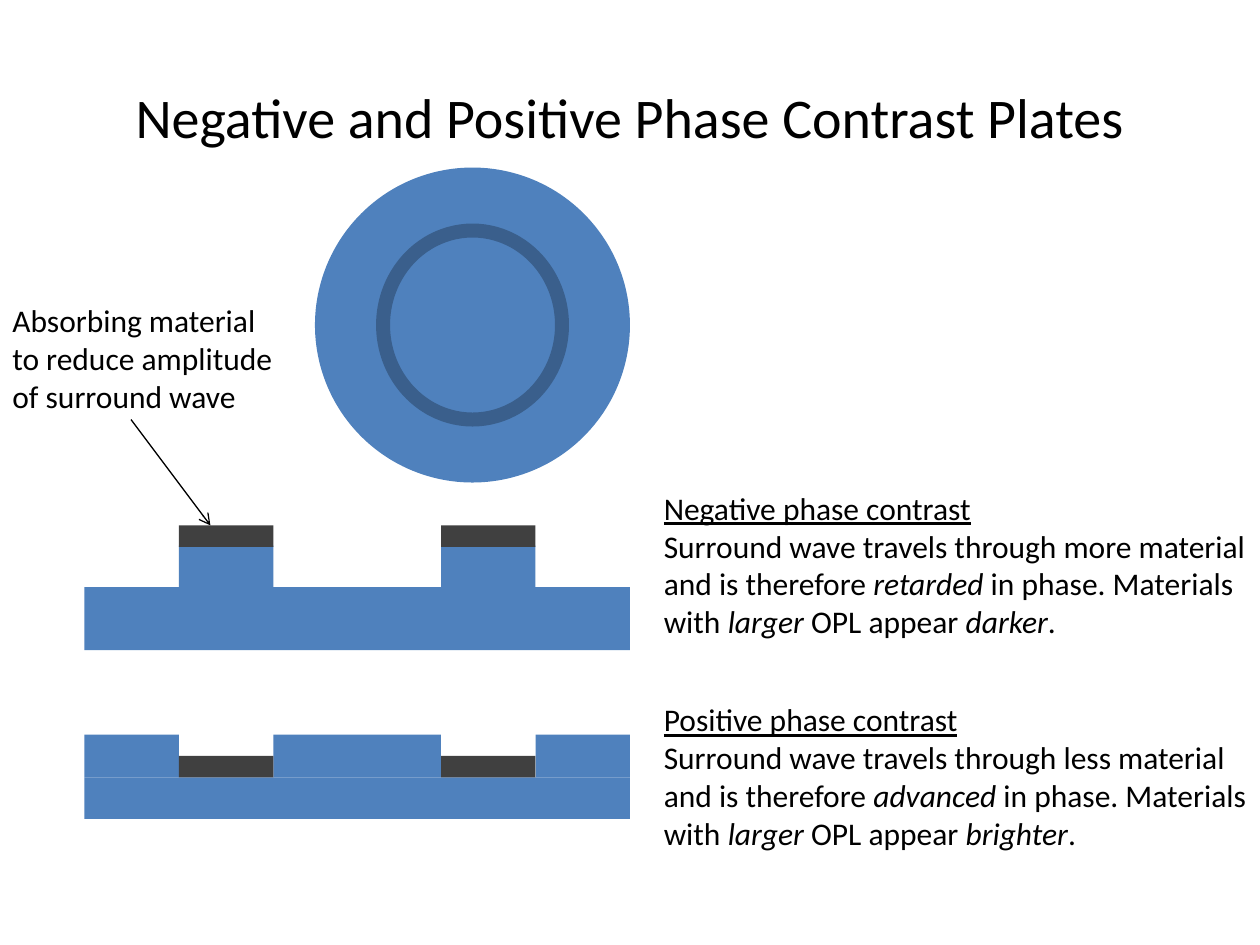
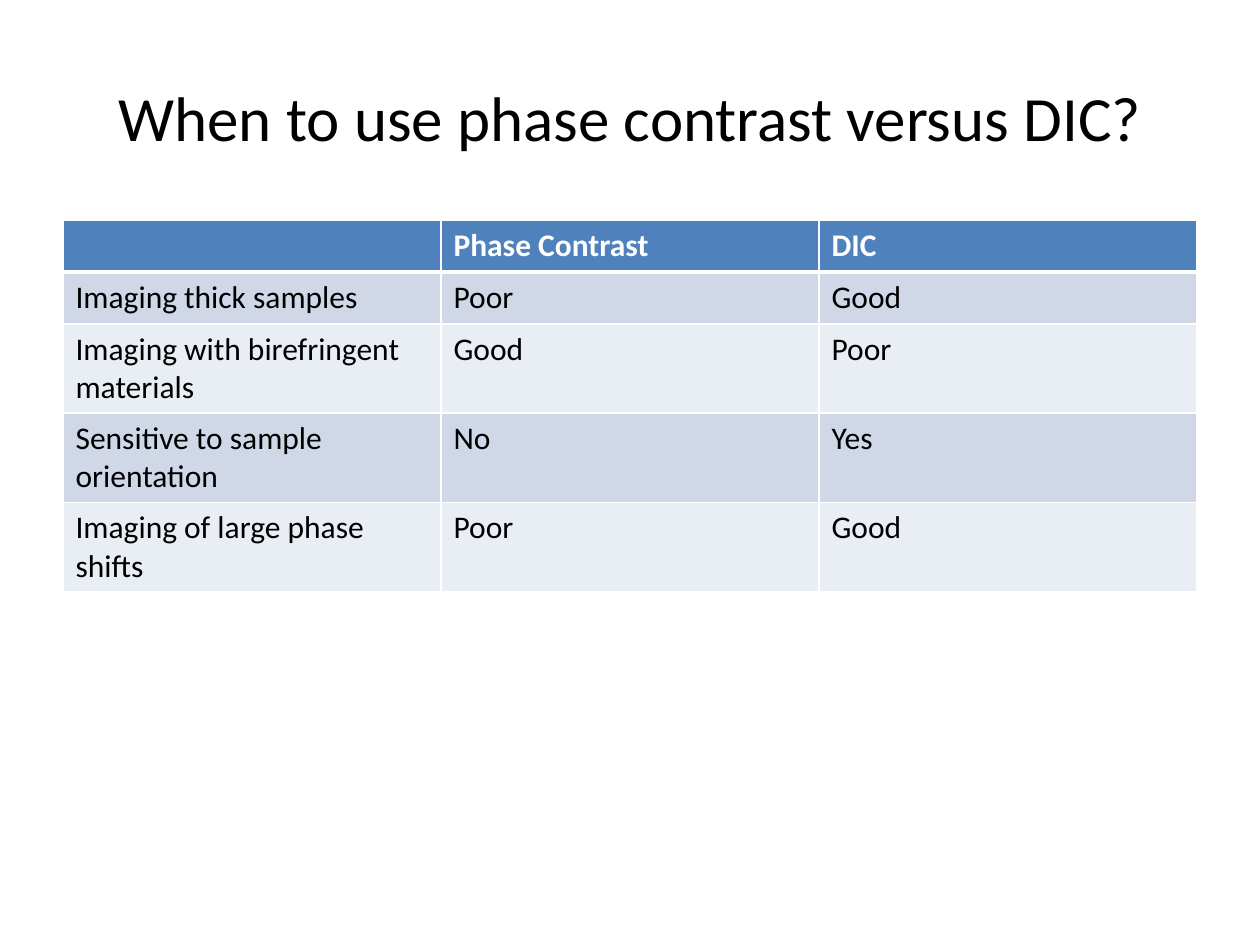
from pptx import Presentation
from pptx.dml.color import RGBColor
from pptx.enum.shapes import MSO_CONNECTOR, MSO_SHAPE
from pptx.enum.text import MSO_ANCHOR, PP_ALIGN
from pptx.oxml.ns import qn
from pptx.util import Inches, Pt
from lxml.etree import SubElement

# Shared style
FONT = "Calibri"
BLACK, WHITE = "000000", "FFFFFF"
GLASS, RING, ABSORBER = "4F81BD", "3A5F8C", "404040"
BANDS = ["D0D8E8", "E9EDF4"]
BODY_SIZE = 18

# Content: text between asterisks is italic
PLATES_TITLE = "Negative and Positive Phase Contrast Plates"
ABSORBER_NOTE = "Absorbing material to reduce amplitude of surround wave"
EXPLANATIONS = [
    (3.83, "Negative phase contrast",
     "Surround wave travels through more material and is therefore *retarded* in phase. "
     "Materials with *larger *OPL appear *darker*."),
    (5.51, "Positive phase contrast",
     "Surround wave travels through less material and is therefore *advanced* in phase. "
     "Materials with *larger* OPL appear *brighter*."),
]
COMPARISON_TITLE = "When to use phase contrast versus DIC?"
COMPARISON = [
    ("", "Phase Contrast", "DIC"),
    ("Imaging thick samples", "Poor", "Good"),
    ("Imaging with birefringent materials", "Good", "Poor"),
    ("Sensitive to sample orientation", "No", "Yes"),
    ("Imaging of large phase shifts", "Poor", "Good"),
]
ROW_HEIGHTS = [0.41, 0.41, 0.71, 0.71, 0.71]

# Plate cross-sections: edges of the plate and of its two ring zones
PLATE_EDGES = [0.67, 1.42, 2.17, 3.5, 4.25, 5]
SECTIONS = list(zip(PLATE_EDGES, PLATE_EDGES[1:]))
RING_ZONES, OUTER_ZONES = SECTIONS[1::2], SECTIONS[::2]
# base top, base height, step top, step height, raised zones
PLATES = [
    (4.66, 0.5, 4.33, 0.33, RING_ZONES),
    (6.17, 0.33, 5.83, 0.34, OUTER_ZONES),
]
ABSORBER_TOPS, ABSORBER_HEIGHT = [4.17, 6], 0.17


def color(hex_string):
    return RGBColor.from_string(hex_string)


def style_font(font, size=BODY_SIZE, hex_string=BLACK):
    font.name, font.size = FONT, Pt(size)
    font.color.rgb = color(hex_string)


def add_text(slide, box, paragraphs, size=BODY_SIZE):
    shape = slide.shapes.add_textbox(*map(Inches, box))
    frame = shape.text_frame
    frame.word_wrap = True
    for index, text in enumerate(paragraphs):
        paragraph = frame.paragraphs[0] if index == 0 else frame.add_paragraph()
        for number, part in enumerate(text.split("*")):
            run = paragraph.add_run()
            run.text = part
            style_font(run.font, size)
            if number % 2:
                run.font.italic = True
    return frame


def add_title(slide, text, size):
    frame = add_text(slide, (0.5, 0.3, 9, 1.25), [text], size)
    frame.vertical_anchor = MSO_ANCHOR.MIDDLE
    frame.paragraphs[0].alignment = PP_ALIGN.CENTER


def add_filled(shapes, box, fill, preset=MSO_SHAPE.RECTANGLE):
    shape = shapes.add_shape(preset, *map(Inches, box))
    shape.shadow.inherit = False
    shape.fill.solid()
    shape.fill.fore_color.rgb = color(fill)
    shape.line.fill.background()
    return shape


def add_arrow(slide, start, end):
    arrow = slide.shapes.add_connector(
        MSO_CONNECTOR.STRAIGHT, *map(Inches, start + end))
    arrow.line.color.rgb = color(BLACK)
    arrow.line.width = Pt(0.75)
    properties = arrow._element.spPr
    SubElement(properties.find(qn("a:ln")), qn("a:tailEnd"), type="arrow")
    SubElement(properties, qn("a:effectLst"))


def set_borders(cell, top, bottom):
    widths = {"a:lnL": 1, "a:lnR": 1, "a:lnT": top, "a:lnB": bottom}
    properties = cell._tc.get_or_add_tcPr()
    for tag, width in widths.items():
        line = SubElement(properties, qn(tag), w=str(Pt(width)))
        fill = SubElement(line, qn("a:solidFill"))
        SubElement(fill, qn("a:srgbClr"), val=WHITE)


def build_plates(slide):
    add_title(slide, PLATES_TITLE, 32)

    # Plate seen from above
    add_filled(slide.shapes, (2.5, 1.33, 2.5, 2.5), GLASS, MSO_SHAPE.OVAL)
    ring = add_filled(slide.shapes, (3.04, 1.83, 1.42, 1.5), GLASS, MSO_SHAPE.OVAL)
    ring.line.color.rgb = color(RING)
    ring.line.width = Pt(8)

    # Plates seen from the side
    plate_left, plate_right = PLATE_EDGES[0], PLATE_EDGES[-1]
    for base_top, base_height, step_top, step_height, zones in PLATES:
        plate = slide.shapes.add_group_shape().shapes
        add_filled(plate, (plate_left, base_top, plate_right - plate_left, base_height), GLASS)
        for left, right in zones:
            add_filled(plate, (left, step_top, right - left, step_height), GLASS)

    for top, heading, explanation in EXPLANATIONS:
        frame = add_text(slide, (5.17, top, 4.83, 1.31), [heading, explanation])
        frame.paragraphs[0].runs[0].font.underline = True

    # Absorbing layers and their label
    for top in ABSORBER_TOPS:
        for left, right in RING_ZONES:
            add_filled(slide.shapes, (left, top, right - left, ABSORBER_HEIGHT), ABSORBER)
    add_arrow(slide, (1.04, 3.33), (1.67, 4.17))
    add_text(slide, (0, 2.34, 2.33, 1.01), [ABSORBER_NOTE])


def build_comparison(slide):
    add_title(slide, COMPARISON_TITLE, 36)
    box = (0.5, 1.75, 9, sum(ROW_HEIGHTS))
    table = slide.shapes.add_table(
        len(COMPARISON), len(COMPARISON[0]), *map(Inches, box)).table
    for row_index, (texts, height) in enumerate(zip(COMPARISON, ROW_HEIGHTS)):
        table.rows[row_index].height = Inches(height)
        header = row_index == 0
        for column_index, text in enumerate(texts):
            cell = table.cell(row_index, column_index)
            set_borders(cell, top=3 if row_index == 1 else 1, bottom=3 if header else 1)
            cell.fill.solid()
            cell.fill.fore_color.rgb = color(GLASS if header else BANDS[(row_index - 1) % 2])
            cell.text_frame.text = text
            for run in cell.text_frame.paragraphs[0].runs:
                style_font(run.font, hex_string=WHITE if header else BLACK)
                run.font.bold = header


def main():
    presentation = Presentation()
    presentation.slide_width, presentation.slide_height = Inches(10), Inches(7.5)
    for build in (build_plates, build_comparison):
        build(presentation.slides.add_slide(presentation.slide_layouts[6]))
    presentation.save("out.pptx")


if __name__ == "__main__":
    main()
